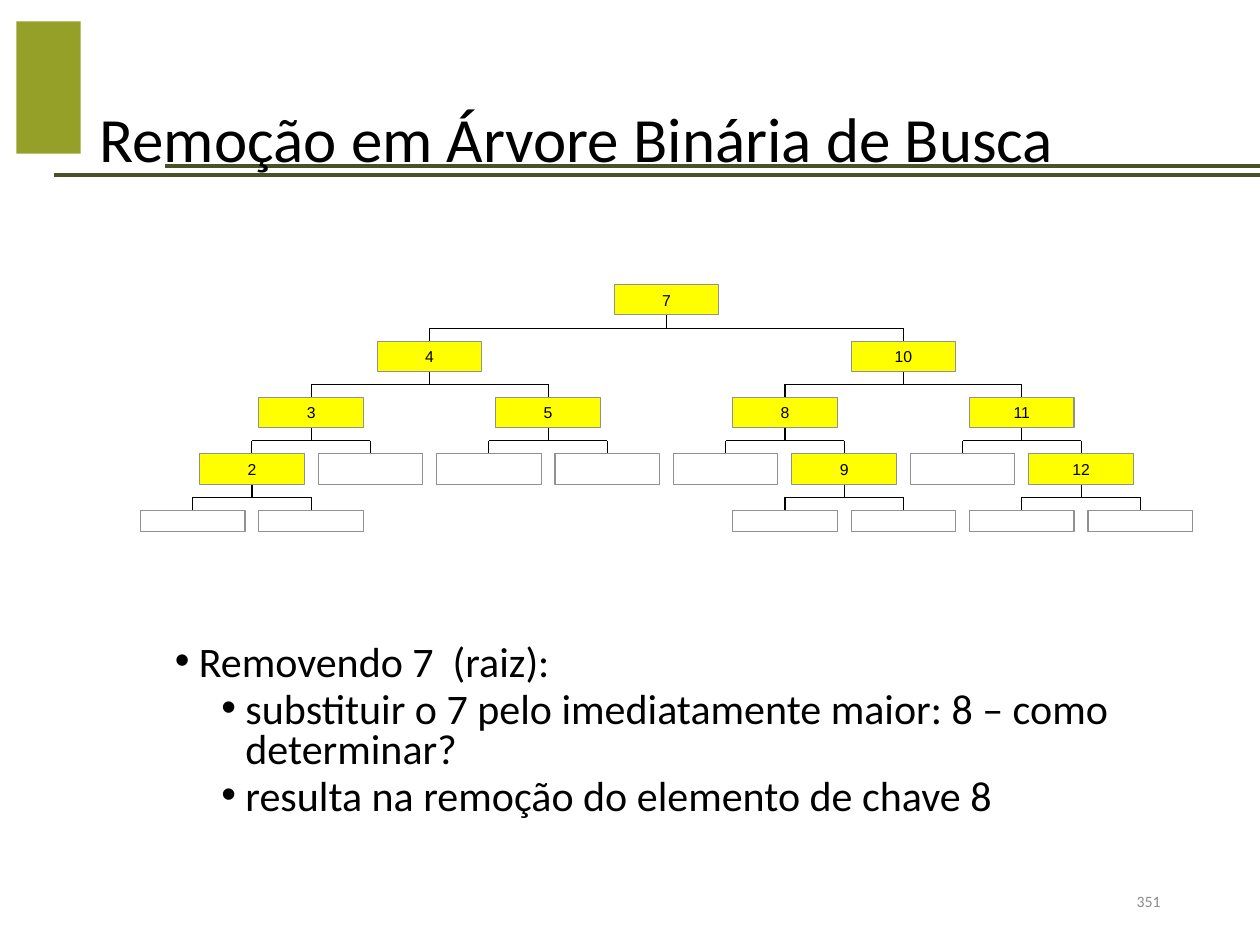
"""Build the slide on removing the root of a binary search tree."""
from lxml.etree import SubElement
from pptx import Presentation
from pptx.dml.color import RGBColor
from pptx.enum.shapes import MSO_CONNECTOR as Link, MSO_SHAPE as Shape
from pptx.enum.text import MSO_ANCHOR as Anchor, MSO_AUTO_SIZE as Fit, PP_ALIGN as Align
from pptx.oxml.ns import qn
from pptx.util import Inches, Pt

TITLE = "Remoção em Árvore Binária de Busca"
BULLETS = [
    (0, "Removendo 7  (raiz):"),
    (1, "substituir o 7 pelo imediatamente maior: 8 – como determinar?"),
    (1, "resulta na remoção do elemento de chave 8"),
]
PAGE_NUMBER = "351"
EMPTY = ("",)
TREE = (
    "7",
    ("4", ("3", ("2", EMPTY, EMPTY), EMPTY), ("5", EMPTY, EMPTY)),
    ("10", ("8", EMPTY, ("9", EMPTY, EMPTY)), ("11", EMPTY, ("12", EMPTY, EMPTY))),
)
RULES = [(1.31, 1.32), (0.43, 1.39)]
COLORS = {
    "text": "000000", "number": "8C8C8C", "emblem": "94A027", "rule": "485228",
    "key": "FFFF00", "empty": "FFFFFF", "border": "919191", "branch": "000000",
}
WIDTH, HEIGHT = 10, 7.5
FIRST_CENTER, COLUMN = 1.53, 0.47
FIRST_TOP, ROW = 2.26, 0.4475
NODE_WIDTH, NODE_HEIGHT, LAST_HEIGHT = 0.83, 0.24, 0.17
ROOT_COLUMN, LAST_LEVEL = 8, 4
SPREADS = [4, 2, 1, 1]


def color(name):
    return RGBColor.from_string(COLORS[name])


def write(para, text, size=24, font="Calibri", ink="text", align=Align.LEFT,
          spacing=1.0, before=0):
    para.alignment, para.line_spacing = align, spacing
    para.space_before = Pt(before)
    span = para.add_run()
    span.text = text
    span.font.size, span.font.name = Pt(size), font
    span.font.color.rgb = color(ink)


def add_line(page, start, end, ink="branch", weight=0.63):
    line = page.shapes.add_connector(Link.STRAIGHT, *map(Inches, start + end))
    line.line.color.rgb, line.line.width = color(ink), Pt(weight)
    SubElement(line._element.spPr, qn("a:effectLst"))


def add_box(page, left, top, width, height, fill, border=None):
    box = page.shapes.add_shape(Shape.RECTANGLE, *map(Inches, (left, top, width, height)))
    box.shadow.inherit = False
    box.fill.solid()
    box.fill.fore_color.rgb = color(fill)
    if border:
        box.line.color.rgb, box.line.width = color(border), Pt(0.63)
    else:
        box.line.fill.background()
    return box


def add_text_frame(page, left, top, width, height, anchor=Anchor.TOP):
    frame = page.shapes.add_textbox(*map(Inches, (left, top, width, height))).text_frame
    frame.word_wrap, frame.vertical_anchor = True, anchor
    return frame


def add_bullet(para, level):
    props = para._p.get_or_add_pPr()
    props.set("marL", str(Inches(0.19 + 0.37 * level)))
    props.set("indent", str(Inches(-0.19)))
    SubElement(props, qn("a:buFont"), typeface="Arial")
    SubElement(props, qn("a:buChar"), char="•")


def add_node(page, node, column=ROOT_COLUMN, level=0):
    label, *children = node
    center = FIRST_CENTER + COLUMN * column
    top = FIRST_TOP + ROW * level
    height = LAST_HEIGHT if level == LAST_LEVEL else NODE_HEIGHT
    if children:
        fork = top + (ROW + NODE_HEIGHT) / 2
        add_line(page, (center, top + height), (center, fork))
        for side, child in zip((-1, 1), children):
            shift = side * SPREADS[level]
            end = center + COLUMN * shift
            add_line(page, (end, fork), (end, top + ROW))
            add_line(page, (center, fork), (end, fork))
            add_node(page, child, column + shift, level + 1)
    box = add_box(page, center - NODE_WIDTH / 2, top, NODE_WIDTH, height,
                  "key" if label else "empty", "border")
    if label:
        frame = box.text_frame
        frame.margin_left = frame.margin_right = frame.margin_top = frame.margin_bottom = 0
        frame.vertical_anchor = Anchor.MIDDLE
        write(frame.paragraphs[0], label, size=9, font="Arial", align=Align.CENTER)


def main():
    deck = Presentation()
    deck.slide_width, deck.slide_height = Inches(WIDTH), Inches(HEIGHT)
    page = deck.slides.add_slide(deck.slide_layouts[5])

    title = page.shapes.title
    title.left, title.top, title.width, title.height = map(Inches, (0.69, 0.4, 8.62, 1.45))
    title.text_frame.vertical_anchor = Anchor.MIDDLE
    title.text_frame.auto_size = Fit.NONE
    write(title.text_frame.paragraphs[0], TITLE, size=36, spacing=0.9)

    add_box(page, 0.13, 0.17, 0.51, 1.05, "emblem")
    for left, top in RULES:
        add_line(page, (left, top), (WIDTH, top), ink="rule", weight=2.5)
    page.shapes._spTree.append(title._element)

    body = add_text_frame(page, 1.29, 5.07, 8.5, 1.64)
    for index, (level, text) in enumerate(BULLETS):
        para = body.add_paragraph() if index else body.paragraphs[0]
        para.level = level
        write(para, text, spacing=0.8, before=3.8 if level else 7.5)
        add_bullet(para, level)

    number = add_text_frame(page, 7.06, 6.95, 2.25, 0.4, anchor=Anchor.MIDDLE)
    write(number.paragraphs[0], PAGE_NUMBER, size=9, ink="number", align=Align.RIGHT)

    add_node(page, TREE)
    deck.save("out.pptx")


if __name__ == "__main__":
    main()
